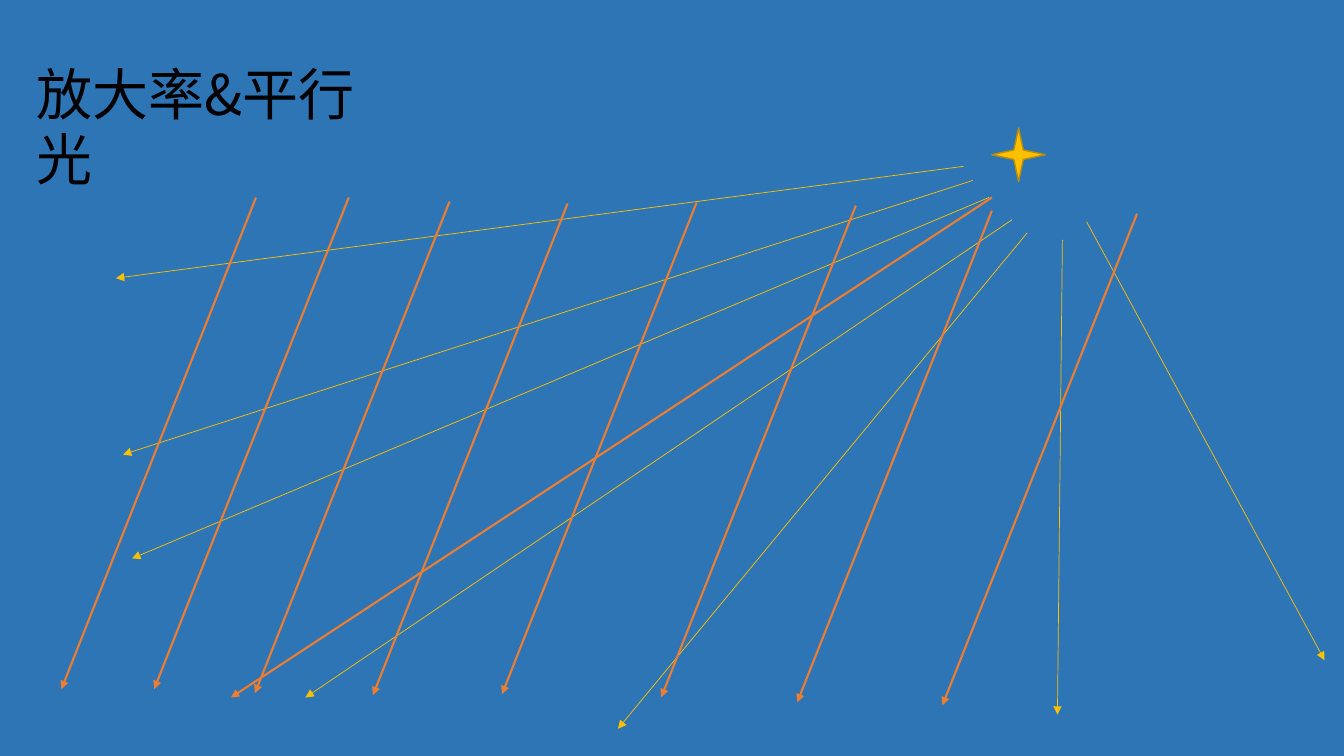
import pptx
import pptx.dml.color
import pptx.enum.shapes
import pptx.enum.text
import pptx.oxml.ns
import pptx.util
import lxml.etree
import dataclasses


@dataclasses.dataclass(frozen=True)
class Theme:
    background: str = "2E75B6"
    ink: str = "000000"
    gold: str = "FFC000"
    gold_edge: str = "BD8E00"
    orange: str = "ED7D31"
    font: str = "Noto Sans CJK SC"
    title_size: float = 40
    title_leading: float = 47
    thin: float = 0.5
    edge: float = 1
    thick: float = 1.5


def apply_format(target, values):
    for name, value in values.items():
        setattr(target, name, value)


def add_element(parent, tag, **attributes):
    return lxml.etree.SubElement(parent, pptx.oxml.ns.qn(tag), **attributes)


def paint(color_format, color):
    color_format.rgb = pptx.dml.color.RGBColor.from_string(color)


class Slide:
    def __init__(self, deck, theme):
        self.theme = theme
        self.column = deck.slide_width / 100
        self.row = deck.slide_height / 100
        self.page = deck.slides.add_slide(deck.slide_layouts[5])
        fill = self.page.background.fill
        fill.solid()
        paint(fill.fore_color, theme.background)

    def place(self, columns, rows):
        return round(columns * self.column), round(rows * self.row)

    def title(self, text, corner, size):
        box = self.page.shapes.title
        left, top = self.place(*corner)
        width, height = self.place(*size)
        apply_format(box, dict(left=left, top=top, width=width, height=height))
        frame = box.text_frame
        apply_format(frame, dict(
            word_wrap=True,
            auto_size=pptx.enum.text.MSO_AUTO_SIZE.SHAPE_TO_FIT_TEXT,
            vertical_anchor=pptx.enum.text.MSO_ANCHOR.TOP,
            margin_top=pptx.util.Pt(8),
        ))
        para = frame.paragraphs[0]
        apply_format(para, dict(
            alignment=pptx.enum.text.PP_ALIGN.LEFT,
            line_spacing=pptx.util.Pt(self.theme.title_leading),
        ))
        span = para.add_run()
        span.text = text
        apply_format(span.font, dict(
            name=self.theme.font, size=pptx.util.Pt(self.theme.title_size)))
        paint(span.font.color, self.theme.ink)
        add_element(span.font._element, "a:ea", typeface=self.theme.font)

    def star(self, corner, size):
        shape = self.page.shapes.add_shape(
            pptx.enum.shapes.MSO_SHAPE.STAR_4_POINT,
            *self.place(*corner), *self.place(*size))
        shape.shadow.inherit = False
        shape.fill.solid()
        paint(shape.fill.fore_color, self.theme.gold)
        paint(shape.line.color, self.theme.gold_edge)
        shape.line.width = pptx.util.Pt(self.theme.edge)

    def arrow(self, start, end, color, weight, shapes=None):
        shapes = self.page.shapes if shapes is None else shapes
        ray = shapes.add_connector(
            pptx.enum.shapes.MSO_CONNECTOR.STRAIGHT,
            *self.place(*start), *self.place(*end))
        paint(ray.line.color, color)
        ray.line.width = pptx.util.Pt(weight)
        properties = ray._element.spPr
        add_element(properties.find(pptx.oxml.ns.qn("a:ln")),
                    "a:tailEnd", type="triangle")
        add_element(properties, "a:effectLst")

    def arrow_group(self, rays, color, weight):
        group = self.page.shapes.add_group_shape()
        for start, end in rays:
            self.arrow(start, end, color, weight, group.shapes)


STAR_RAYS = [
    ((71.7, 22), (8.63, 36.8)),
    ((72.38, 23.87), (9.15, 60.13)),
    ((73.58, 26.13), (9.83, 73.87)),
    ((75.3, 29.07), (22.73, 92.27)),
    ((76.43, 30.8), (45.98, 96.4)),
    ((79.05, 31.73), (78.68, 94.53)),
    ((80.85, 29.33), (98.55, 87.33)),
]
PARALLEL_STARTS = [
    (19.05, 26.13), (25.95, 26.13), (33.45, 26.67), (42.23, 26.93),
    (51.83, 26.8), (73.8, 27.87), (63.68, 27.2), (84.6, 28.27),
]
PARALLEL_RUN, PARALLEL_DROP = -14.48, 65.03


def main():
    theme = Theme()
    deck = pptx.Presentation()
    apply_format(deck, dict(slide_width=pptx.util.Inches(13.33),
                            slide_height=pptx.util.Inches(7.5)))
    slide = Slide(deck, theme)
    slide.title("放大率&平行光", (1.95, 6.53), (28.88, 10.27))
    slide.star((73.8, 16.93), (3.98, 7.07))
    slide.arrow_group(STAR_RAYS, theme.gold, theme.thin)
    slide.arrow((73.8, 26.13), (17.18, 92.27), theme.orange, theme.thick)
    parallel_rays = [((left, top), (left + PARALLEL_RUN, top + PARALLEL_DROP))
                     for left, top in PARALLEL_STARTS]
    slide.arrow_group(parallel_rays, theme.orange, theme.thick)
    deck.save("out.pptx")


if __name__ == "__main__":
    main()
